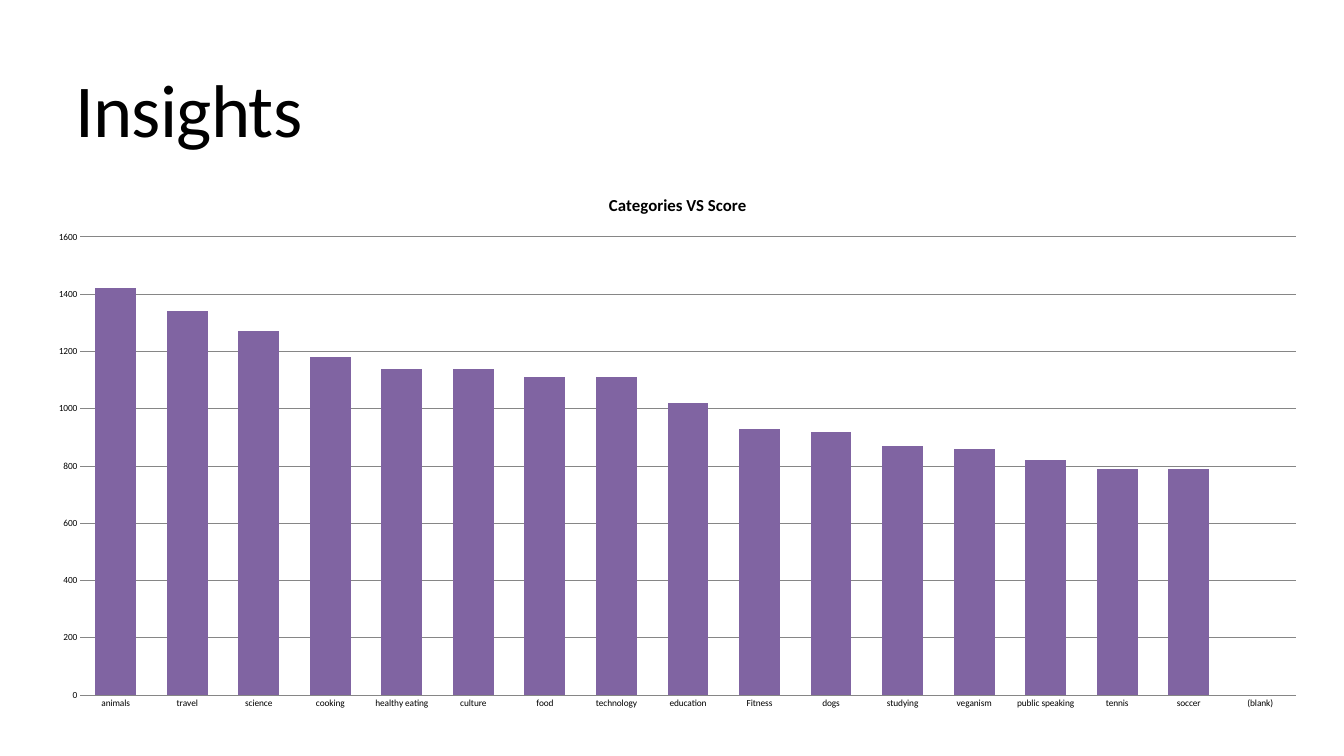
from pptx import Presentation
from pptx import util as u
from pptx.chart.data import CategoryChartData
from pptx.dml.color import RGBColor
from pptx.enum import chart as ch, text
from pptx.oxml import parse_xml
from pptx.oxml.ns import nsdecls

FONT = "Calibri"
BLACK, PURPLE, GRAY = "000000", "8064A2", "868686"

SCORES = {
    "animals": 1420, "travel": 1340, "science": 1270, "cooking": 1180,
    "healthy eating": 1140, "culture": 1140, "food": 1110,
    "technology": 1110, "education": 1020, "Fitness": 930, "dogs": 920,
    "studying": 870, "veganism": 860, "public speaking": 820,
    "tennis": 790, "soccer": 790, "(blank)": None,
}


def color(hex_code):
    return RGBColor.from_string(hex_code)


def style_font(font, size, bold=False):
    font.name = FONT
    font.size = u.Pt(size)
    font.bold = bold
    font.color.rgb = color(BLACK)


def style_line(line):
    line.color.rgb = color(GRAY)
    line.width = u.Pt(0.75)


def add_heading(slide, words, left, top, width, height):
    frame = slide.shapes.add_textbox(
        u.Pt(left), u.Pt(top), u.Pt(width), u.Pt(height)).text_frame
    frame.word_wrap = True
    frame.auto_size = text.MSO_AUTO_SIZE.SHAPE_TO_FIT_TEXT
    frame.margin_left = frame.margin_right = 0
    frame.margin_top = frame.margin_bottom = 0
    paragraph = frame.paragraphs[0]
    paragraph.line_spacing = u.Pt(96)
    run = paragraph.add_run()
    run.text = words
    style_font(run.font, 80)
    run.font._element.set("spc", "-80")  # letter spacing of -0.8 pt


def place_plot(chart, x, y, w, h):
    """Fix the inner plot area, in fractions of the chart."""
    sizes = "".join(f'<c:{key} val="{value}"/>'
                    for key, value in zip("xywh", (x, y, w, h)))
    plot_area = chart._chartSpace.chart.plotArea
    for layout in plot_area.findall(plot_area.tag.replace("plotArea", "layout")):
        plot_area.remove(layout)
    plot_area.insert(0, parse_xml(
        f'<c:layout {nsdecls("c")}><c:manualLayout>'
        '<c:layoutTarget val="inner"/><c:xMode val="edge"/>'
        f'<c:yMode val="edge"/>{sizes}</c:manualLayout></c:layout>'))


def add_score_chart(slide, title, scores, left, top, width, height):
    data = CategoryChartData()
    data.categories = list(scores)
    data.add_series("Series 1", list(scores.values()))
    chart = slide.shapes.add_chart(
        ch.XL_CHART_TYPE.COLUMN_CLUSTERED, u.Pt(left), u.Pt(top),
        u.Pt(width), u.Pt(height), data).chart
    style_font(chart.font, 10)
    chart.has_legend = False

    # Chart title
    chart.has_title = True
    run = chart.chart_title.text_frame.paragraphs[0].add_run()
    run.text = title
    style_font(run.font, 18, bold=True)
    chart.chart_title.include_in_layout = False

    # Columns
    bars = chart.plots[0]
    bars.gap_width = 75
    bars.vary_by_categories = False
    fill = bars.series[0].format.fill
    fill.solid()
    fill.fore_color.rgb = color(PURPLE)

    # Axes and gridlines
    for axis in (chart.category_axis, chart.value_axis):
        axis.major_tick_mark = axis.minor_tick_mark = ch.XL_TICK_MARK.NONE
    style_line(chart.category_axis.format.line)
    score_axis = chart.value_axis
    score_axis.minimum_scale, score_axis.maximum_scale = 0, 1600
    score_axis.major_unit = 200
    score_axis.format.line.fill.background()
    score_axis.has_major_gridlines = True
    style_line(score_axis.major_gridlines.format.line)
    place_plot(chart, 0.036, 0.112, 0.944, 0.844)


def main():
    deck = Presentation()
    deck.slide_width, deck.slide_height = u.Pt(1440), u.Pt(810)
    slide = deck.slides.add_slide(deck.slide_layouts[6])
    slide.background.fill.solid()
    slide.background.fill.fore_color.rgb = color("FFFFFF")

    add_heading(slide, "Insights", 80.64, 67.68, 365, 97.2)
    add_score_chart(slide, "Categories VS Score", SCORES,
                    36, 188.64, 1380.24, 581.76)
    deck.save("out.pptx")


if __name__ == "__main__":
    main()
